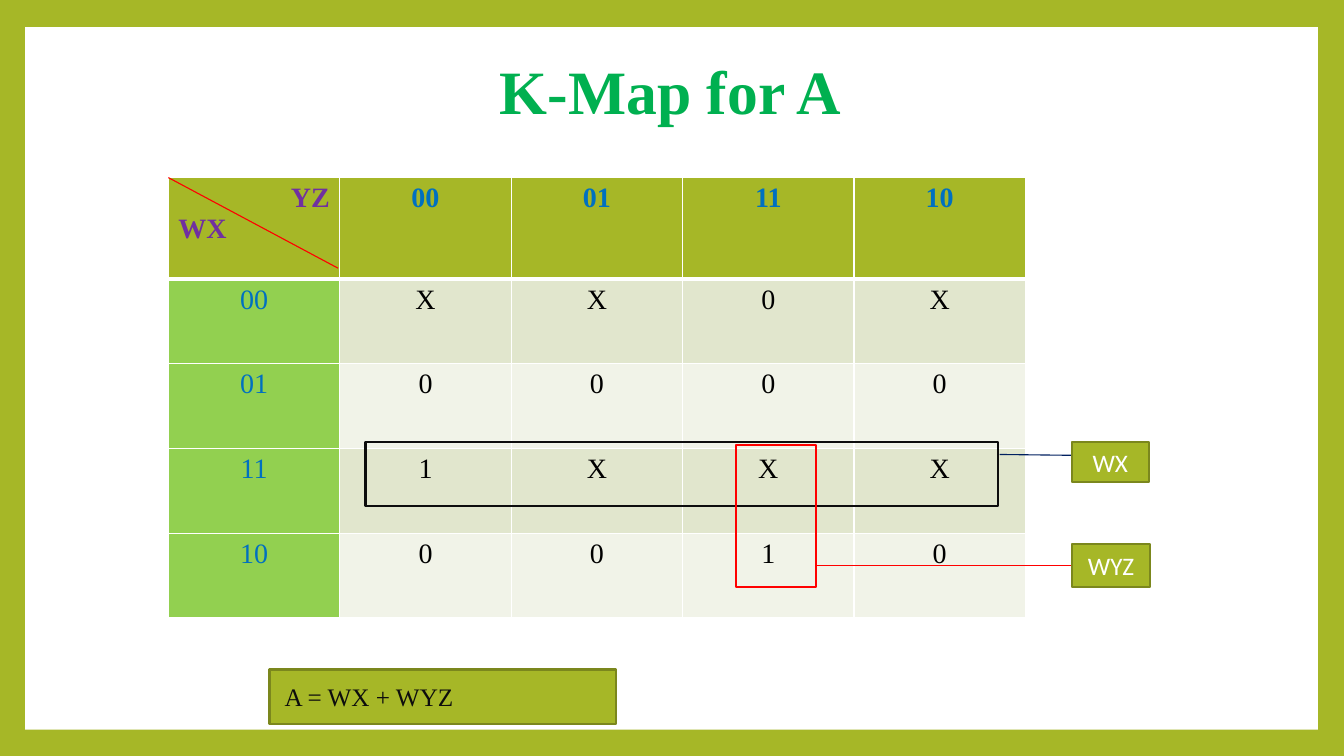
from lxml import etree
from pptx import Presentation
from pptx.dml.color import RGBColor
from pptx.enum.shapes import MSO_CONNECTOR, MSO_SHAPE
from pptx.enum.text import MSO_ANCHOR, MSO_AUTO_SIZE, PP_ALIGN
from pptx.oxml.ns import qn
from pptx.util import Inches, Pt

LEFT, MID, RIGHT = PP_ALIGN.LEFT, PP_ALIGN.CENTER, PP_ALIGN.RIGHT
RECT, LINE = MSO_SHAPE.RECTANGLE, MSO_CONNECTOR.STRAIGHT
MIDDLE, NO_FIT = MSO_ANCHOR.MIDDLE, MSO_AUTO_SIZE.NONE
SERIF, SANS = "Times New Roman", "Calibri"
OLIVE, EDGE, WHITE, INK, RED = "A6B727", "7B871D", "FFFFFF", "0D0D0D", "FF0000"
BLUE, PURPLE, LIME = "0070C0", "7030A0", "92D050"
BANDS = "E1E6CD", "F1F3E8"

TITLE = "K-Map for A"
KMAP = [
    ["YZ\nWX", "00", "01", "11", "10"],
    ["00", "X", "X", "0", "X"],
    ["01", "0", "0", "0", "0"],
    ["11", "1", "X", "X", "X"],
    ["10", "0", "0", "1", "0"],
]
# Grid units: columns from the table's left, rows from the header's bottom
LOOPS = [((1.15, 1.92, 3.69, 0.76), INK), ((3.31, 1.96, 0.47, 1.68), RED)]
ANSWER = "A = WX + WYZ", (0.59, 4.61, 2.02, 0.64)
TAGS = [("WX", (5.27, 1.92, 0.45, 0.48)), ("WYZ", (5.27, 3.13, 0.46, 0.51))]
WYZ_MID = 3.13 + 0.51 / 2
SLASH = (0, -1.2), (0.99, -0.13), RED
WX_LINK = (4.85, 2.07), (5.27, 2.08), "002060"
WYZ_LINK = (3.78, WYZ_MID), (5.27, WYZ_MID), RED

WIDE, TALL = 13.33, 7.5
COL, ROW, HEAD = 1.7, 0.84, 1.01
GRID_X, GRID_Y = 1.67, 1.76


def tint(code):
    return RGBColor.from_string(code)


def place(col, row):
    """Turn grid units into slide lengths."""
    return Inches(GRID_X + col * COL), Inches(GRID_Y + HEAD + row * ROW)


def style(frame, align, size, face, code, bold=False):
    for para in frame.paragraphs:
        para.alignment = align
        for run in para.runs:
            font = run.font
            font.size, font.name, font.bold = Pt(size), face, bold
            font.color.rgb = tint(code)


def add_box(area, line, fill=None):
    col, row, wide, tall = area
    box = slide.shapes.add_shape(
        RECT, *place(col, row), Inches(wide * COL), Inches(tall * ROW))
    box.shadow.inherit = False
    if fill:
        box.fill.solid()
        box.fill.fore_color.rgb = tint(fill)
    else:
        box.fill.background()
    box.line.color.rgb = tint(line)
    box.line.width = Pt(1.5)
    return box


def add_label(text, area, align, face, code):
    box = add_box(area, EDGE, OLIVE)
    frame = box.text_frame
    frame.text = text
    frame.vertical_anchor = MIDDLE
    style(frame, align, 18, face, code)
    return box


def add_line(start, end, code):
    link = slide.shapes.add_connector(LINE, *place(*start), *place(*end))
    link.line.color.rgb = tint(code)
    link.line.width = Pt(0.79)
    etree.SubElement(link.element.spPr, qn("a:effectLst"))
    return link


def add_edges(cell, row):
    props = cell._tc.get_or_add_tcPr()
    heavy = {0: "B", 1: "T"}.get(row)
    for side in "LRTB":
        width = Pt(3 if side == heavy else 1)
        edge = etree.SubElement(props, qn("a:ln" + side), w=str(width))
        fill = etree.SubElement(edge, qn("a:solidFill"))
        etree.SubElement(fill, qn("a:srgbClr"), val=WHITE)


def look(row, col):
    """Give a cell's fill and text colour."""
    if row == 0:
        return OLIVE, BLUE if col else PURPLE
    return (BANDS[(row - 1) % 2], "000000") if col else (LIME, BLUE)


def add_map():
    count = len(KMAP)
    table = slide.shapes.add_table(
        count, count, Inches(GRID_X), Inches(GRID_Y),
        Inches(count * COL), Inches(HEAD + (count - 1) * ROW)).table
    for i, texts in enumerate(KMAP):
        table.rows[i].height = Inches(ROW if i else HEAD)
        table.columns[i].width = Inches(COL)
        for j, text in enumerate(texts):
            cell = table.cell(i, j)
            fill, code = look(i, j)
            add_edges(cell, i)
            cell.fill.solid()
            cell.fill.fore_color.rgb = tint(fill)
            cell.text_frame.text = text
            style(cell.text_frame, MID, 20, SERIF, code, i == 0)
    top, low = table.cell(0, 0).text_frame.paragraphs
    top.alignment, low.alignment = RIGHT, LEFT


deck = Presentation()
deck.slide_width, deck.slide_height = Inches(WIDE), Inches(TALL)
slide = deck.slides.add_slide(deck.slide_layouts[5])
slide.background.fill.solid()
slide.background.fill.fore_color.rgb = tint(OLIVE)

title = slide.shapes.title
title.left, title.top = Inches(1.25), Inches(0.51)
title.width, title.height = Inches(10.8), Inches(0.86)
title.text_frame.text = TITLE
title.text_frame.auto_size = NO_FIT
title.text_frame.vertical_anchor = MIDDLE
title.text_frame.paragraphs[0].line_spacing = 0.9
style(title.text_frame, MID, 44, SERIF, "00B050", True)

panel = slide.shapes.add_shape(
    RECT, Inches(0.25), Inches(0.27), Inches(12.82), Inches(6.97))
panel.shadow.inherit = False
panel.fill.solid()
panel.fill.fore_color.rgb = tint(WHITE)
panel.line.fill.background()
title.element.addprevious(panel.element)

add_map()
add_line(*SLASH)
for area, code in LOOPS:
    add_box(area, code)
answer = add_label(*ANSWER, LEFT, SERIF, INK)
answer.text_frame.margin_left = Inches(0.15)
add_line(*WX_LINK)
wyz_link = add_line(*WYZ_LINK)
tags = [add_label(*tag, MID, SANS, WHITE) for tag in TAGS]
wyz_link.end_connect(tags[1], 1)

deck.save("out.pptx")
